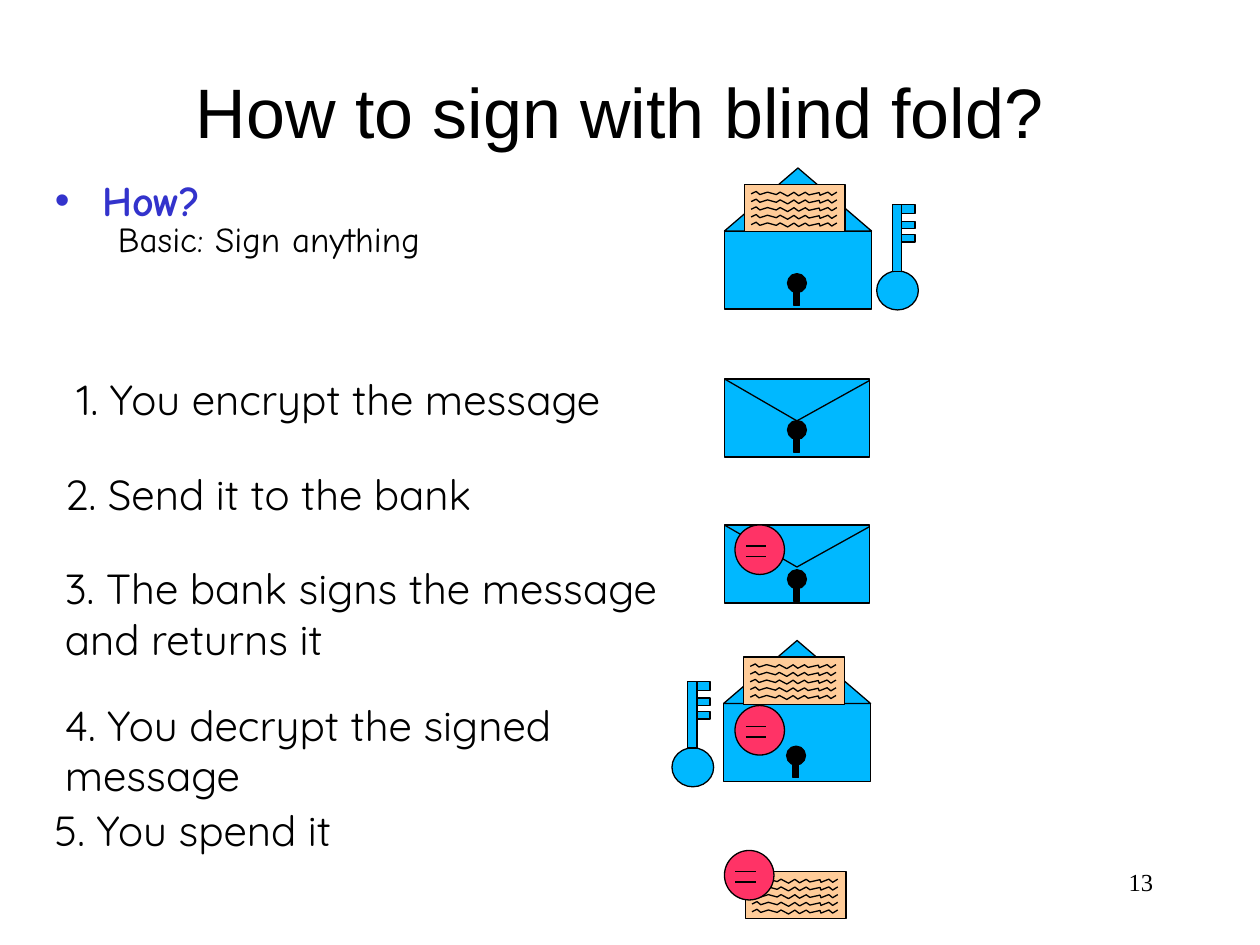
from dataclasses import dataclass
from typing import NamedTuple

from pptx import Presentation
from pptx.dml.color import RGBColor
from pptx.enum.shapes import MSO_CONNECTOR, MSO_SHAPE
from pptx.enum.text import MSO_ANCHOR, MSO_AUTO_SIZE, PP_ALIGN
from pptx.oxml.ns import qn
from pptx.util import Pt
from lxml.etree import SubElement


@dataclass(frozen=True)
class Theme:
    ink: str = "000000"
    accent: str = "3333CC"
    envelope: str = "00B8FF"
    paper: str = "FFCC99"
    seal: str = "FF3366"
    outline: float = 0.75
    title_size: int = 40
    step_size: int = 24
    detail_size: int = 20
    number_size: int = 14
    title_font: str = "Arial"
    body_font: str = "Comic Neue"
    step_font: str = "Quicksand"
    number_font: str = "Times New Roman"


class Box(NamedTuple):
    left: float
    top: float
    width: float
    height: float


class Step(NamedTuple):
    text: str
    box: Box
    wrap: bool = True


THEME = Theme()
STEPS = [
    Step("1. You encrypt the message", Box(36.7, 210.2, 325.4, 36), wrap=False),
    Step("2. Send it to the bank", Box(30, 264, 348, 36)),
    Step("3. The bank signs the message and returns it", Box(30, 318, 372, 65)),
    Step("4. You decrypt the signed message", Box(30, 396, 324, 65)),
    Step("5. You spend it", Box(24, 456, 294, 36)),
]
# One line of handwriting, in points from its left end
SCRIBBLE_X = [0, 2.9, 5, 9.4, 14.4, 16.6, 20.9, 24.5, 27.2, 31, 33.1, 38.9, 39.4, 43.9, 46.1, 49]
SCRIBBLE_Y = [1.4, 0, 1.8, 0.4, 1.8, 0.4, 2.7, 0.5, 2.5, 0.5, 2, 0.7, 2.2, 0.4, 2.2, 0.4]

deck = Presentation()
deck.slide_width, deck.slide_height = Pt(720), Pt(540)
slide = deck.slides.add_slide(deck.slide_layouts[1])
shapes = slide.shapes


# Text helpers
def style(paragraph, size: float, font: str, color: str = THEME.ink, bold: bool = False) -> None:
    for run in paragraph.runs:
        run.font.size, run.font.name, run.font.bold = Pt(size), font, bold
        run.font.color.rgb = RGBColor.from_string(color)


def place(shape, box: Box) -> None:
    shape.left, shape.top, shape.width, shape.height = map(Pt, box)


def set_insets(frame, side: float) -> None:
    frame.margin_left = frame.margin_right = Pt(side)
    frame.margin_top = frame.margin_bottom = Pt(3.6)


def add_text(text: str, box: Box, size: float, font: str, wrap: bool = True):
    frame = shapes.add_textbox(*map(Pt, box)).text_frame
    set_insets(frame, 7.2)
    frame.word_wrap = wrap
    frame.text = text
    style(frame.paragraphs[0], size, font)
    return frame


# Drawing helpers
def add_outline(shape) -> None:
    shape.line.color.rgb = RGBColor.from_string(THEME.ink)
    shape.line.width = Pt(THEME.outline)


def add_part(kind: MSO_SHAPE, box: Box, color: str) -> None:
    part = shapes.add_shape(kind, *map(Pt, box))
    part.shadow.inherit = False
    part.fill.solid()
    part.fill.fore_color.rgb = RGBColor.from_string(color)
    add_outline(part)


def add_line(x1: float, y1: float, x2: float, y2: float) -> None:
    line = shapes.add_connector(MSO_CONNECTOR.STRAIGHT, Pt(x1), Pt(y1), Pt(x2), Pt(y2))
    SubElement(line._element.spPr, qn("a:effectLst"))
    add_outline(line)
    # The effect list has to follow the line settings
    line._element.spPr.append(line._element.spPr.find(qn("a:effectLst")))


def add_scribble(left: float, top: float) -> None:
    points = [(Pt(left + x), Pt(top + y)) for x, y in zip(SCRIBBLE_X, SCRIBBLE_Y)]
    builder = shapes.build_freeform(*points[0])
    builder.add_line_segments(points[1:], close=False)
    scribble = builder.convert_to_shape()
    scribble.shadow.inherit = False
    scribble.fill.background()
    add_outline(scribble)


def add_letter(left: float, top: float) -> None:
    add_part(MSO_SHAPE.RECTANGLE, Box(left, top, 57.4, 27), THEME.paper)
    for row in range(5):
        add_scribble(left + 3.7, top + 4 + 4.4 * row)


def add_keyhole(left: float, top: float) -> None:
    add_part(MSO_SHAPE.OVAL, Box(left, top, 10.8, 10.8), THEME.ink)
    add_part(MSO_SHAPE.RECTANGLE, Box(left + 3.7, top + 10.3, 3.1, 7.8), THEME.ink)


def add_key(left: float, top: float) -> None:
    add_part(MSO_SHAPE.OVAL, Box(left, top + 37.8, 23.8, 22.3), THEME.envelope)
    add_part(MSO_SHAPE.RECTANGLE, Box(left + 9, top, 5.3, 38), THEME.envelope)
    for drop, height in [(0, 5), (9.4, 4.4), (17, 4.4)]:
        add_part(MSO_SHAPE.RECTANGLE, Box(left + 14.3, top + drop, 7.5, height), THEME.envelope)


def add_open_envelope(left: float, top: float) -> None:
    add_part(MSO_SHAPE.RECTANGLE, Box(left, top + 36, 84, 44.6), THEME.envelope)
    add_keyhole(left + 36, top + 60.4)
    add_part(MSO_SHAPE.ISOSCELES_TRIANGLE, Box(left, top, 84, 36), THEME.envelope)
    add_letter(left + 11.5, top + 9.4)


def add_closed_envelope(left: float, top: float, keyhole_drop: float) -> None:
    add_part(MSO_SHAPE.RECTANGLE, Box(left, top, 82.8, 44.6), THEME.envelope)
    add_line(left + 0.6, top + 0.4, left + 41.4, top + 24)
    add_line(left + 41.4, top + 24, left + 82.8, top + 1)
    add_keyhole(left + 36, top + keyhole_drop)


def add_seal(left: float, top: float) -> None:
    add_part(MSO_SHAPE.OVAL, Box(left, top, 28.3, 28.3), THEME.seal)
    for drop in (12, 18):
        add_line(left + 6.2, top + drop, left + 18, top + drop)


# Title
title = shapes.title
place(title, Box(48, 18, 612, 90))
title.text_frame.text = "How to sign with blind fold?"
set_insets(title.text_frame, 1.4)
title.text_frame.vertical_anchor = MSO_ANCHOR.MIDDLE
title.text_frame.paragraphs[0].alignment = PP_ALIGN.CENTER
style(title.text_frame.paragraphs[0], THEME.title_size, THEME.title_font)

# Question and basic idea
body = slide.placeholders[1]
place(body, Box(30, 96, 318, 84))
body.text_frame.text = "How?\nBasic: Sign anything"
body.text_frame.auto_size = MSO_AUTO_SIZE.NONE
set_insets(body.text_frame, 1.4)
question, basic = body.text_frame.paragraphs
basic.level = 1
for paragraph, margin, indent in [(question, 27, -27), (basic, 58.5, -22.5)]:
    properties = paragraph._p.get_or_add_pPr()
    properties.set("marL", str(Pt(margin)))
    properties.set("indent", str(Pt(indent)))
    paragraph.space_before = Pt(0)
bullet_color = SubElement(question._p.pPr, qn("a:buClr"))
SubElement(bullet_color, qn("a:srgbClr"), val=THEME.accent)
SubElement(question._p.pPr, qn("a:buChar"), char="•")
SubElement(basic._p.pPr, qn("a:buNone"))
basic.line_spacing, basic.space_after = 0.82, Pt(11.2)
style(question, THEME.step_size, THEME.body_font, THEME.accent, bold=True)
style(basic, THEME.detail_size, THEME.body_font)

# Steps
for step in STEPS:
    frame = add_text(step.text, step.box, THEME.step_size, THEME.step_font, step.wrap)
    frame.auto_size = MSO_AUTO_SIZE.SHAPE_TO_FIT_TEXT

# Message with its key, encrypted, signed, decrypted, spent
add_open_envelope(414, 96)
add_key(501, 117)
add_closed_envelope(414, 216.5, keyhole_drop=23.8)
add_closed_envelope(414, 300, keyhole_drop=25.6)
add_seal(420, 300)
add_key(384, 389.5)
add_open_envelope(413.5, 366)
add_seal(420, 403.2)
add_letter(426, 498)
add_seal(414, 486)

# Slide number
number = add_text("13", Box(516, 492, 150, 36), THEME.number_size, THEME.number_font)
number.paragraphs[0].alignment = PP_ALIGN.RIGHT

deck.save("out.pptx")
